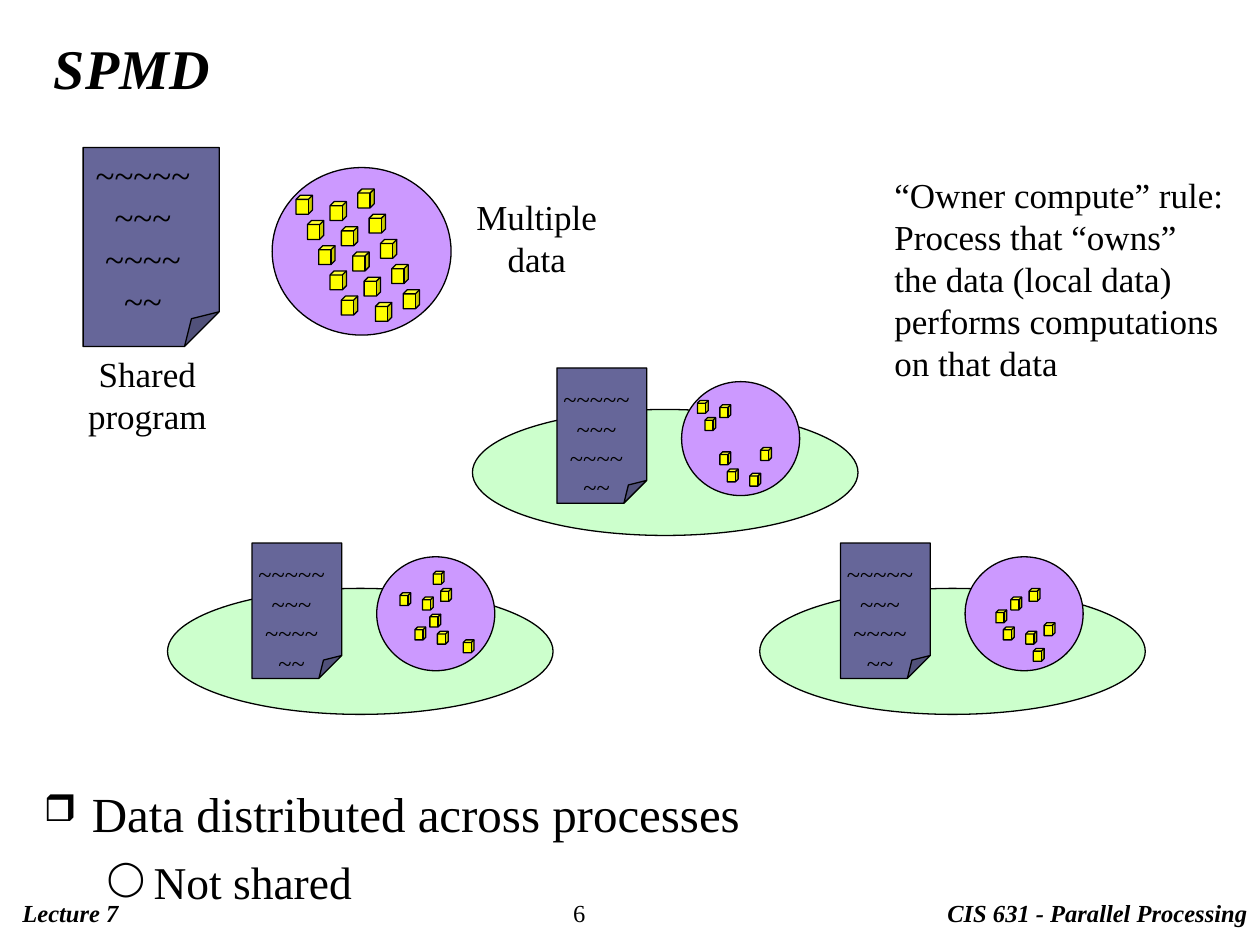
"""Build the SPMD slide: one shared program, its data spread over three processes."""
from lxml import etree
from pptx import Presentation
from pptx.dml.color import RGBColor
from pptx.enum.shapes import MSO_SHAPE
from pptx.enum.text import MSO_ANCHOR, PP_ALIGN
from pptx.oxml.ns import qn
from pptx.util import Inches, Pt

OVAL, CUBE, PAGE = MSO_SHAPE.OVAL, MSO_SHAPE.CUBE, MSO_SHAPE.FOLDED_CORNER
LEFT, CENTER = PP_ALIGN.LEFT, PP_ALIGN.CENTER
TOP, MIDDLE = MSO_ANCHOR.TOP, MSO_ANCHOR.MIDDLE

FONT = "Times New Roman"
INK, PAPER, POOL, DATUM, PROCESS = "000000", "666699", "CC99FF", "FFFF00", "CCFFCC"

CODE = ["~~~~~", "~~~", "~~~~", "~~"]
PAGE_SIZE = (1.08, 1.58)
POOL_OFFSET, POOL_SIZE = (1.5, 0.16), (1.42, 1.33)
COLUMN_STARTS = [(0.19, 0.22), (0.46, 0.27), (0.68, 0.17)]
ROW_STEP, DATUM_SIZE = (0.09, 0.2), (0.13, 0.15)
SHARED_DATA = [range(5)] * 3
PROCESS_SIZE, PROCESS_SCALE = (3.06, 1), (0.66, 0.68)

PROCESSES = [
    {"ellipse": (1.33, 4.67), "page": (2, 4.31), "rows": [(1, 3), (1, 2, 3), (0, 1, 4)]},
    {"ellipse": (3.75, 3.25), "page": (4.42, 2.92), "rows": [(0, 1, 3, 4), (0, 4), (3,)]},
    {"ellipse": (6.03, 4.67), "page": (6.67, 4.31), "rows": [(2, 3), (1, 3, 4), (1, 3)]},
]
LABELS = [
    (["Shared", "program"], (0.6, 2.75, 1.14, 0.77), CENTER),
    (["Multiple", "data"], (3.68, 1.5, 1.16, 0.77), CENTER),
    (["“Owner compute” rule:",
      "Process that “owns”\nthe data (local data)\nperforms computations",
      "on that data"], (7, 1.33, 2.81, 1.77), LEFT),
]
FOOTERS = [
    ("Lecture 7", (0.08, 7.08, 7.42, 0.34), True),
    ("6", (4.45, 7.08, 1.01, 0.34), False),
    ("CIS 631 - Parallel Processing", (7.42, 7.08, 2.58, 0.34), True),
]
POINTS = [
    ("Data distributed across processes", 28, "❒", 0.38, -0.38, 0),
    ("Not shared", 26, "◯", 0.87, -0.37, 6.5),
]


def color(code):
    """Turn a hex string into a colour."""
    return RGBColor.from_string(code)


def add_line(paragraph, text, size, bold=False):
    """Write one paragraph, breaking it at each newline."""
    paragraph.line_spacing = Pt(round(size * 1.2, 1))
    for index, part in enumerate(text.split("\n")):
        if index:
            paragraph.add_line_break()
        run = paragraph.add_run()
        run.text = part
        run.font.name, run.font.size = FONT, Pt(size)
        run.font.bold = run.font.italic = bold
        run.font.color.rgb = color(INK)


def add_text(slide, lines, box, size, align=LEFT, bold=False, wrap=False, anchor=TOP):
    """Add a text box with one paragraph per line and return its frame."""
    frame = slide.shapes.add_textbox(*map(Inches, box)).text_frame
    frame.word_wrap, frame.vertical_anchor = wrap, anchor
    for index, line in enumerate(lines):
        paragraph = frame.add_paragraph() if index else frame.paragraphs[0]
        paragraph.alignment = align
        add_line(paragraph, line, size, bold)
    return frame


def add_figure(slide, kind, place, size, fill):
    """Add a filled shape with a thin black outline."""
    figure = slide.shapes.add_shape(kind, *map(Inches, (*place, *size)))
    figure.shadow.inherit = False
    figure.fill.solid()
    figure.fill.fore_color.rgb = color(fill)
    figure.line.color.rgb = color(INK)
    figure.line.width = Pt(0.75)
    return figure


def add_page(slide, place, size):
    """Add a program page with its corner folded."""
    page = add_figure(slide, PAGE, place, size, PAPER)
    fold = page._element.find(".//" + qn("a:avLst"))
    etree.SubElement(fold, qn("a:gd"), name="adj", fmla="val 25500")


def add_program_with_data(slide, page, rows, scale, code_box, code_size):
    """Draw a program page beside its pool of data cubes."""
    def scaled(pair):
        return tuple(value * factor for value, factor in zip(pair, scale))

    def shifted(start, offset):
        return tuple(a + b for a, b in zip(start, scaled(offset)))

    add_page(slide, page, scaled(PAGE_SIZE))
    dx, dy, width, height = code_box
    add_text(slide, CODE, (page[0] + dx, page[1] + dy, width, height), code_size, CENTER)
    pool = shifted(page, POOL_OFFSET)
    add_figure(slide, OVAL, pool, scaled(POOL_SIZE), POOL)
    for start, column_rows in zip(COLUMN_STARTS, rows):
        for row in column_rows:
            offset = [origin + row * step for origin, step in zip(start, ROW_STEP)]
            add_figure(slide, CUBE, shifted(pool, offset), scaled(DATUM_SIZE), DATUM)


def add_points(slide):
    """Write the bulleted points at the foot of the slide."""
    frame = add_text(slide, [], (0.25, 6.17, 9.58, 1.1), 28, wrap=True)
    for index, (text, size, bullet, margin, indent, before) in enumerate(POINTS):
        paragraph = frame.add_paragraph() if index else frame.paragraphs[0]
        add_line(paragraph, text, size)
        paragraph.level = index
        paragraph.space_before = Pt(before)
        properties = paragraph._p.get_or_add_pPr()
        properties.set("marL", str(Inches(margin)))
        properties.set("indent", str(Inches(indent)))
        etree.SubElement(properties, qn("a:buSzPct"), val="75000")
        etree.SubElement(properties, qn("a:buChar"), char=bullet)


def main():
    """Assemble and save the slide."""
    deck = Presentation()
    deck.slide_width, deck.slide_height = Inches(10), Inches(7.5)
    slide = deck.slides.add_slide(deck.slide_layouts[6])
    for text, box, bold in FOOTERS:
        add_text(slide, [text], box, 14, bold=bold, wrap=box[2] != 2.58)
    add_text(slide, ["SPMD"], (0.33, 0.28, 9.42, 0.5), 32, bold=True, wrap=True, anchor=MIDDLE)
    add_program_with_data(slide, (0.66, 1.17), SHARED_DATA, (1, 1), (0, 0, 0.95, 1.44), 20)
    for process in PROCESSES:
        add_figure(slide, OVAL, process["ellipse"], PROCESS_SIZE, PROCESS)
    for process in PROCESSES:
        add_program_with_data(slide, process["page"], process["rows"], PROCESS_SCALE,
                              (-0.05, 0.08, 0.73, 1.04), 14)
    for lines, box, align in LABELS:
        add_text(slide, lines, box, 20, align)
    add_points(slide)
    deck.save("out.pptx")


if __name__ == "__main__":
    main()
